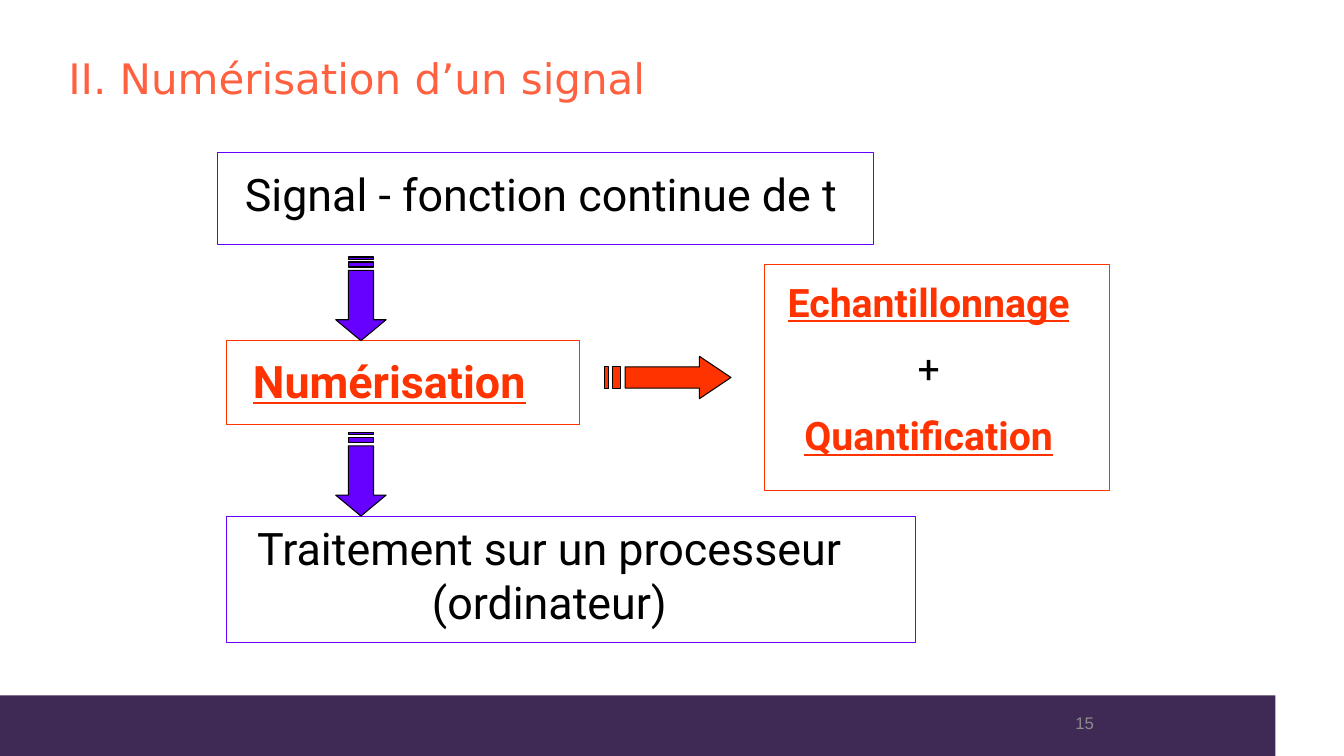
from dataclasses import dataclass

from lxml.etree import SubElement
from pptx import Presentation
from pptx.dml.color import RGBColor
from pptx.enum.shapes import MSO_SHAPE
from pptx.enum.text import MSO_ANCHOR, PP_ALIGN
from pptx.oxml.ns import qn
from pptx.util import Inches, Pt


@dataclass(frozen=True)
class Theme:
    """Colours, fonts and type sizes of the slide."""
    violet: str = "6600FF"
    red: str = "FF3300"
    coral: str = "FF6140"
    plum: str = "3F2A56"
    grey: str = "8C8C8C"
    black: str = "000000"
    white: str = "FFFFFF"
    body_font: str = "Roboto"
    title_font: str = "DejaVu Sans"
    number_font: str = "Arial"
    title_size: int = 30
    step_size: int = 32
    detail_size: int = 28
    number_size: int = 12
    line_width: float = 0.75


THEME = Theme()


def style_shape(shape, fill=None, line=None):
    """Give a shape its fill and outline, without shadow."""
    shape.shadow.inherit = False
    if fill:
        shape.fill.solid()
        shape.fill.fore_color.rgb = RGBColor.from_string(fill)
    else:
        shape.fill.background()
    if line:
        shape.line.color.rgb = RGBColor.from_string(line)
        shape.line.width = Pt(THEME.line_width)
    else:
        shape.line.fill.background()


def add_rectangle(slide, box, fill=None, line=None):
    """Draw a plain rectangle in box (left, top, width, height)."""
    shape = slide.shapes.add_shape(MSO_SHAPE.RECTANGLE, *map(Inches, box))
    style_shape(shape, fill, line)


def add_text(slide, box, lines, size, font=THEME.body_font, align=PP_ALIGN.LEFT,
             anchor=MSO_ANCHOR.TOP, gap=0, spacing=None):
    """Write lines of (text, colour, emphasised) as paragraphs in box."""
    frame = slide.shapes.add_textbox(*map(Inches, box)).text_frame
    frame.word_wrap = True
    frame.vertical_anchor = anchor
    frame.text = "\n".join(text for text, _, _ in lines)
    for index, (paragraph, (_, colour, emphasised)) in enumerate(zip(frame.paragraphs, lines)):
        paragraph.alignment = align
        paragraph.space_before = Pt(gap if index else 0)
        if spacing:
            paragraph.line_spacing = spacing
        for run in paragraph.runs:
            run.font.name = font
            run.font.size = Pt(size)
            run.font.color.rgb = RGBColor.from_string(colour)
            run.font.bold = run.font.underline = emphasised
            for tag in ("a:ea", "a:cs"):
                SubElement(run.font._element, qn(tag)).set("typeface", font)


def add_striped_arrow(slide, box, fill, downward=False):
    """Draw an arrow with two tail stripes that fills box."""
    left, top, width, height = box
    # Outlines as fractions (along the arrow, across it)
    outlines = [[(0.75, 0), (0.75, 0.25), (0.16, 0.25), (0.16, 0.75),
                 (0.75, 0.75), (0.75, 1), (1, 0.5)]]
    outlines += [[(start, 0.25), (start, 0.75), (end, 0.75), (end, 0.25)]
                 for start, end in ((0.06, 0.12), (0, 0.03))]

    def locate(along, across):
        x, y = (across, along) if downward else (along, across)
        return Inches(left + x * width), Inches(top + y * height)

    builder = None
    for outline in outlines:
        points = [locate(*point) for point in outline]
        if builder is None:
            builder = slide.shapes.build_freeform(*points[0])
        else:
            builder.move_to(*points[0])
        builder.add_line_segments(points[1:], close=True)
    style_shape(builder.convert_to_shape(), fill, THEME.black)


def add_title(slide, box):
    """Write the slide heading."""
    add_text(slide, box, [("II. Numérisation d’un signal", THEME.coral, False)],
             THEME.title_size, THEME.title_font, spacing=0.9)


def add_steps(slide, box):
    """Draw the three processing steps joined by downward arrows."""
    left, top = box[:2]
    steps = [
        # frame, text box, wording, colour, emphasised, alignment
        ((0, 0, 6.5, 0.92), (0.17, 0.09, 6.58, 0.63),
         "Signal - fonction continue de t", THEME.black, False, PP_ALIGN.LEFT),
        ((0.09, 1.87, 3.5, 0.83), (0.25, 1.95, 3.25, 0.63),
         "Numérisation", THEME.red, True, PP_ALIGN.LEFT),
        ((0.09, 3.61, 6.83, 1.25), (-0.75, 3.61, 8.08, 1.17),
         "Traitement sur un processeur (ordinateur)", THEME.black, False, PP_ALIGN.CENTER),
    ]
    for frame, text_box, wording, colour, emphasised, align in steps:
        x, y, width, height = frame
        add_rectangle(slide, (left + x, top + y, width, height),
                      line=THEME.red if emphasised else THEME.violet)
        x, y, width, height = text_box
        add_text(slide, (left + x, top + y, width, height),
                 [(wording, colour, emphasised)], THEME.step_size, align=align)
    arrow_width, arrow_height = 0.5, 0.83
    for frame, *_ in steps[1:]:
        add_striped_arrow(slide, (left + 1.17, top + frame[1] - arrow_height,
                                  arrow_width, arrow_height), THEME.violet, downward=True)


def add_detail(slide, box):
    """Draw the arrow to the two operations that make up the middle step."""
    left, top, width, height = box
    frame_width = 3.42
    frame_left = left + width - frame_width
    add_rectangle(slide, (frame_left, top, frame_width, height), line=THEME.red)
    add_text(slide, (frame_left - 0.08, top + 0.09, frame_width, 1.97),
             [("Echantillonnage", THEME.red, True), ("+", THEME.black, False),
              ("Quantification", THEME.red, True)],
             THEME.detail_size, align=PP_ALIGN.CENTER, gap=14)
    arrow_height = 0.42
    add_striped_arrow(slide, (left, top + (height - arrow_height) / 2, 1.25, arrow_height),
                      THEME.red)


def add_footer(slide, box):
    """Draw the bottom band, its corner block and the slide number."""
    left, top, width, height = box
    add_rectangle(slide, box, fill=THEME.plum)
    block = 0.68
    add_rectangle(slide, (left + width - block, top + height - block, block, block),
                  fill=THEME.white)
    add_text(slide, (left + 7.95, top + 0.07, 3, 0.4), [("15", THEME.grey, False)],
             THEME.number_size, THEME.number_font, PP_ALIGN.RIGHT, MSO_ANCHOR.MIDDLE)


def main():
    """Build the slide and save it."""
    presentation = Presentation()
    presentation.slide_width, presentation.slide_height = Inches(13.33), Inches(7.5)
    slide = presentation.slides.add_slide(presentation.slide_layouts[6])
    add_footer(slide, (0, 6.9, 13.33, 0.6))
    add_title(slide, (0.58, 0.53, 11.88, 0.66))
    add_steps(slide, (2.16, 1.51, 6.92, 4.86))
    add_detail(slide, (6, 2.62, 5, 2.25))
    presentation.save("out.pptx")


main()
